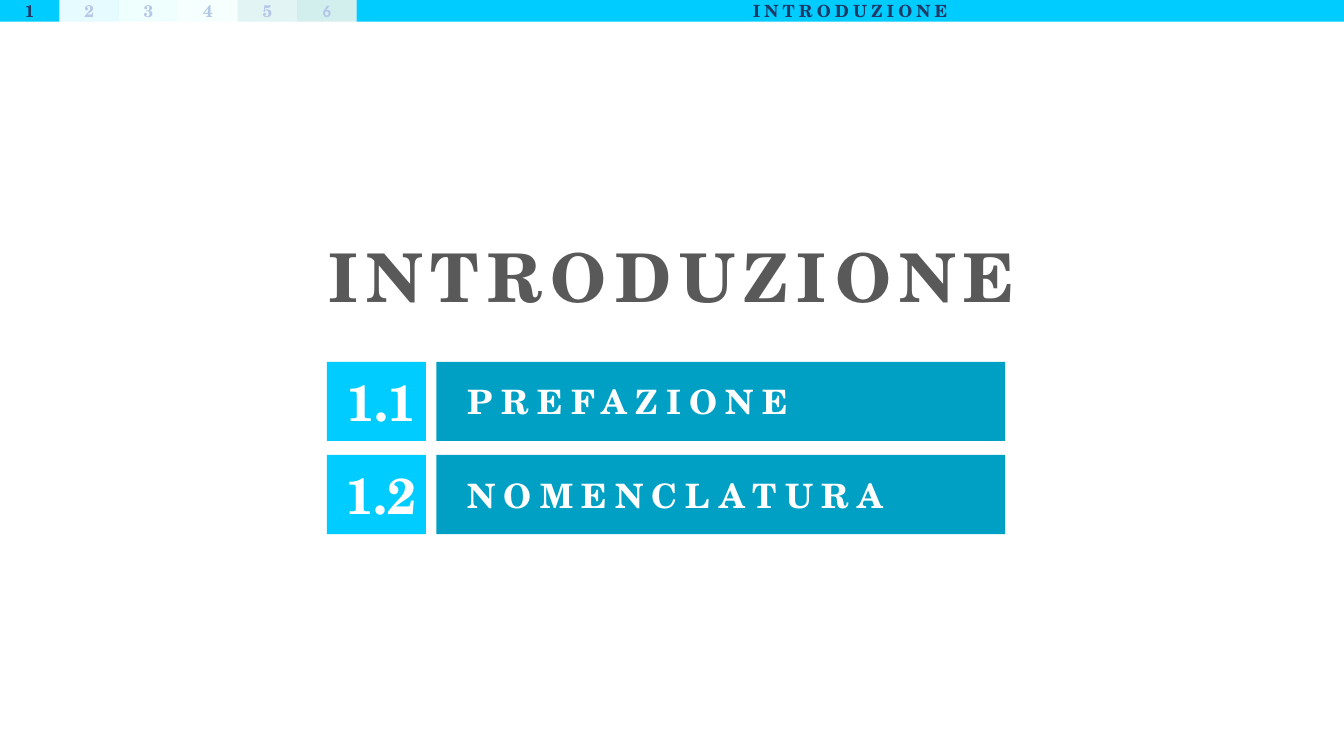
"""Builds the section opener of the introduction with its chapter tabs and contents."""
from lxml.etree import SubElement
from pptx import Presentation
from pptx.dml.color import RGBColor
from pptx.enum.shapes import MSO_SHAPE
from pptx.enum.text import MSO_ANCHOR, MSO_AUTO_SIZE, PP_ALIGN
from pptx.oxml.ns import qn
from pptx.util import Pt

SERIF = "TeX Gyre Schola"
SANS = "Calibri"
CYAN = RGBColor(0x00, 0xCC, 0xFF)
TEAL = RGBColor(0x00, 0x9F, 0xC4)
NAVY = RGBColor(0x20, 0x38, 0x64)
PALE_BLUE = RGBColor(0xB4, 0xC7, 0xE7)
GREY = RGBColor(0x59, 0x59, 0x59)
WHITE = RGBColor(0xFF, 0xFF, 0xFF)
INACTIVE_TABS = [
    ("2", RGBColor(0x84, 0xEB, 0xFF), SERIF),
    ("3", RGBColor(0xB2, 0xFF, 0xFE), SERIF),
    ("4", RGBColor(0xD0, 0xFF, 0xFE), SERIF),
    ("5", RGBColor(0x70, 0xD0, 0xC9), SERIF),
    ("6", RGBColor(0x20, 0xB2, 0xAB), SANS),
]
SECTION = "INTRODUZIONE"
TOPICS = [("1.1", "PREFAZIONE"), ("1.2", "NOMENCLATURA")]
PAGE_WIDTH, PAGE_HEIGHT = 960, 540
TAB_WIDTH, TAB_HEIGHT = 42.45, 15.5
TOPIC_TOP, TOPIC_PITCH, TOPIC_HEIGHT = 258.5, 66.5, 56.5


def write(shape, text, size, color, align=PP_ALIGN.CENTER, spacing=0, font=SERIF):
    """Put one bold, letter-spaced paragraph in a shape."""
    frame = shape.text_frame
    frame.word_wrap = True
    frame.vertical_anchor = MSO_ANCHOR.MIDDLE
    para = frame.paragraphs[0]
    para.alignment = align
    para.font.name = font
    para.font.size = Pt(size)
    para.font.bold = True
    para.font.color.rgb = color
    span = para.add_run()
    span.text = text
    if spacing:
        span._r.get_or_add_rPr().set("spc", str(spacing * 100))


def add_block(page, left, top, width, height, color, opacity=100):
    """Add a borderless rectangle, see-through below full opacity."""
    block = page.shapes.add_shape(
        MSO_SHAPE.RECTANGLE, Pt(left), Pt(top), Pt(width), Pt(height))
    block.shadow.inherit = False
    block.line.fill.background()
    block.fill.solid()
    block.fill.fore_color.rgb = color
    if opacity < 100:
        tint = block._element.spPr.find(qn("a:solidFill"))[0]
        SubElement(tint, qn("a:alpha")).set("val", str(opacity * 1000))
    return block


def add_title(page):
    """Place the section name in the title placeholder."""
    title = page.shapes.title
    title.left, title.top = Pt(0), Pt(148.5)
    title.width, title.height = Pt(PAGE_WIDTH), Pt(104.5)
    write(title, SECTION, 48, GREY, spacing=6)
    title.text_frame.auto_size = MSO_AUTO_SIZE.NONE
    title.text_frame.paragraphs[0].line_spacing = 0.9


def add_navigation(page):
    """Draw the chapter tabs and the section bar along the top edge."""
    active = add_block(page, 0, 0, TAB_WIDTH, TAB_HEIGHT, CYAN)
    write(active, "1", 12, NAVY, spacing=3)
    for index, (number, color, font) in enumerate(INACTIVE_TABS, start=1):
        tab = add_block(page, index * TAB_WIDTH, 0, TAB_WIDTH, TAB_HEIGHT, color, 20)
        write(tab, number, 12, PALE_BLUE, spacing=3, font=font)
    bar_left = (len(INACTIVE_TABS) + 1) * TAB_WIDTH
    bar = add_block(page, bar_left, 0, PAGE_WIDTH - bar_left, TAB_HEIGHT, CYAN)
    write(bar, SECTION, 12, NAVY, spacing=3)


def add_topic(page, top, number, name):
    """Draw one numbered contents row."""
    badge = add_block(page, 233.5, top, 70.75, TOPIC_HEIGHT, CYAN)
    write(badge, number, 36, WHITE, PP_ALIGN.RIGHT)
    label = add_block(page, 311.75, top, 406.25, TOPIC_HEIGHT, TEAL)
    label.text_frame.margin_left = Pt(22.5)
    write(label, name, 24, WHITE, PP_ALIGN.LEFT, spacing=6)


def main():
    """Build and save the deck."""
    deck = Presentation()
    deck.slide_width, deck.slide_height = Pt(PAGE_WIDTH), Pt(PAGE_HEIGHT)
    page = deck.slides.add_slide(deck.slide_layouts.get_by_name("Title Only"))
    add_title(page)
    add_navigation(page)
    for row, (number, name) in enumerate(TOPICS):
        add_topic(page, TOPIC_TOP + row * TOPIC_PITCH, number, name)
    deck.save("out.pptx")


if __name__ == "__main__":
    main()
